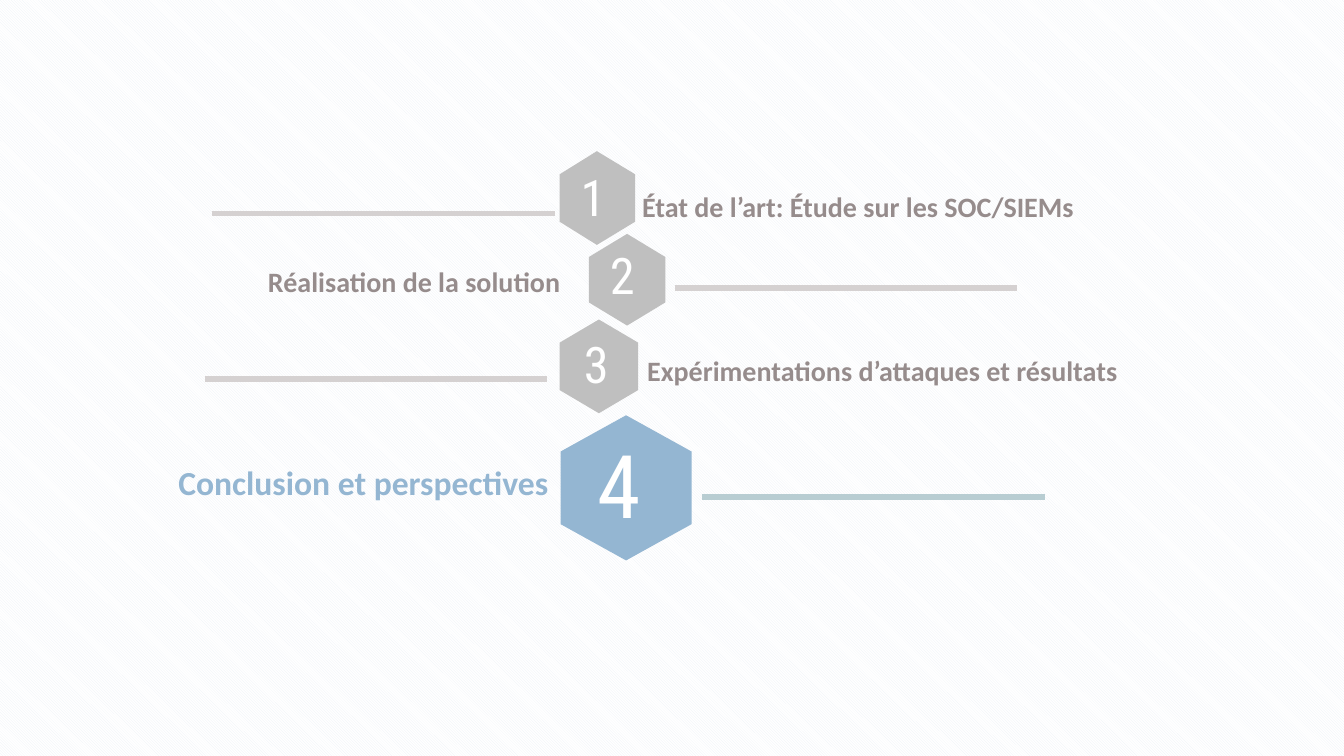
from pptx import Presentation
from pptx.dml.color import RGBColor
from pptx.enum.dml import MSO_PATTERN as Pattern
from pptx.enum.shapes import MSO_CONNECTOR as Link
from pptx.enum.text import MSO_ANCHOR as Anchor
from pptx.util import Pt
from lxml.etree import SubElement
from pptx.oxml.ns import qn

PX = 9144  # 100 px to the inch
WHITE = RGBColor(0xFF, 0xFF, 0xFF)
PALE = RGBColor(0xEA, 0xF0, 0xF6)
BLUE = RGBColor(0x94, 0xB6, 0xD2)
TEAL = RGBColor(0xB8, 0xCD, 0xD2)
GREY = RGBColor(0xBF, 0xBF, 0xBF)
ASH = RGBColor(0xD5, 0xD1, 0xD1)
TAUPE = RGBColor(0x96, 0x8C, 0x8C)

RULE = 340  # length of every rule
DIM = dict(fill=GREY, rule=ASH, ink=TAUPE, digit=36, label=20)
LIT = dict(fill=BLUE, rule=TEAL, ink=BLUE, digit=62.7, label=24)

# hexagon box, digit (left, base), label (left, top, width, height),
# rule (left, top), text, look; offsets start at the hexagon's corner
STEPS = [
    ((555, 150, 75, 93), (21, 75), (72, 33, 492, 44), (-345, 62),
     "État de l’art: Étude sur les SOC/SIEMs", DIM),
    ((584, 232, 76, 91), (21, 70), (-328, 25, 440, 44), (85, 54),
     "Réalisation de la solution", DIM),
    ((555, 317, 78, 93), (24, 73), (77, 29, 546, 44), (-352, 59),
     "Expérimentations d’attaques et résultats", DIM),
    ((556, 412, 130, 144), (37, 120), (-389, 41, 608, 50), (140, 81),
     "Conclusion et perspectives", LIT),
]


def add_text(shapes, box, text, frame, font, color):
    area = shapes.add_textbox(*(n * PX for n in box)).text_frame
    for key, value in frame.items():
        setattr(area, key, value)
    run = area.paragraphs[0].add_run()
    run.text = text
    for key, value in font.items():
        setattr(run.font, key, value)
    run.font.color.rgb = color


def add_hex(shapes, box, color):
    x, y, w, h = box
    mid, right, low = x + w / 2, x + w, y + h
    path = shapes.build_freeform(mid, y, scale=PX)
    path.add_line_segments([(right, y + h / 4), (right, low - h / 4), (mid, low),
                            (x, low - h / 4), (x, y + h / 4)], close=True)
    shape = path.convert_to_shape()
    shape.shadow.inherit = False
    shape.fill.solid()
    shape.fill.fore_color.rgb = color
    shape.line.fill.background()


def add_rule(shapes, x, y, color):
    rule = shapes.add_connector(Link.STRAIGHT, x * PX, y * PX, (x + RULE) * PX, y * PX)
    rule.line.color.rgb = color
    rule.line.width = Pt(4)
    SubElement(rule._element.spPr, qn("a:effectLst"))


def add_step(shapes, num, box, digit, label, rule, text, look):
    x, y = box[:2]
    add_rule(shapes, x + rule[0], y + rule[1], look["rule"])
    add_hex(shapes, box, look["fill"])
    # Digit stands on its base line inside the hexagon
    flush = dict.fromkeys(("margin_left", "margin_top", "margin_right", "margin_bottom"), 0)
    add_text(shapes, (x + digit[0], y, 63, digit[1]), str(num),
             dict(flush, word_wrap=True, vertical_anchor=Anchor.BOTTOM),
             dict(name="Roboto Condensed", size=Pt(look["digit"])), WHITE)
    # Label beside the hexagon
    add_text(shapes, (x + label[0], y + label[1], *label[2:]), text, dict(word_wrap=True),
             dict(name="Calibri", size=Pt(look["label"]), bold=True), look["ink"])


def add_agenda(deck):
    slide = deck.slides.add_slide(deck.slide_layouts[6])
    # Striped background
    back = slide.background.fill
    back.patterned()
    back.pattern = Pattern.LIGHT_DOWNWARD_DIAGONAL
    back.fore_color.rgb = PALE
    back.back_color.rgb = WHITE
    # Steps from top to bottom
    for num, step in enumerate(STEPS, 1):
        add_step(slide.shapes, num, *step)


def main():
    deck = Presentation()
    deck.slide_width, deck.slide_height = 1333 * PX, 750 * PX
    add_agenda(deck)
    deck.save("out.pptx")


if __name__ == "__main__":
    main()
